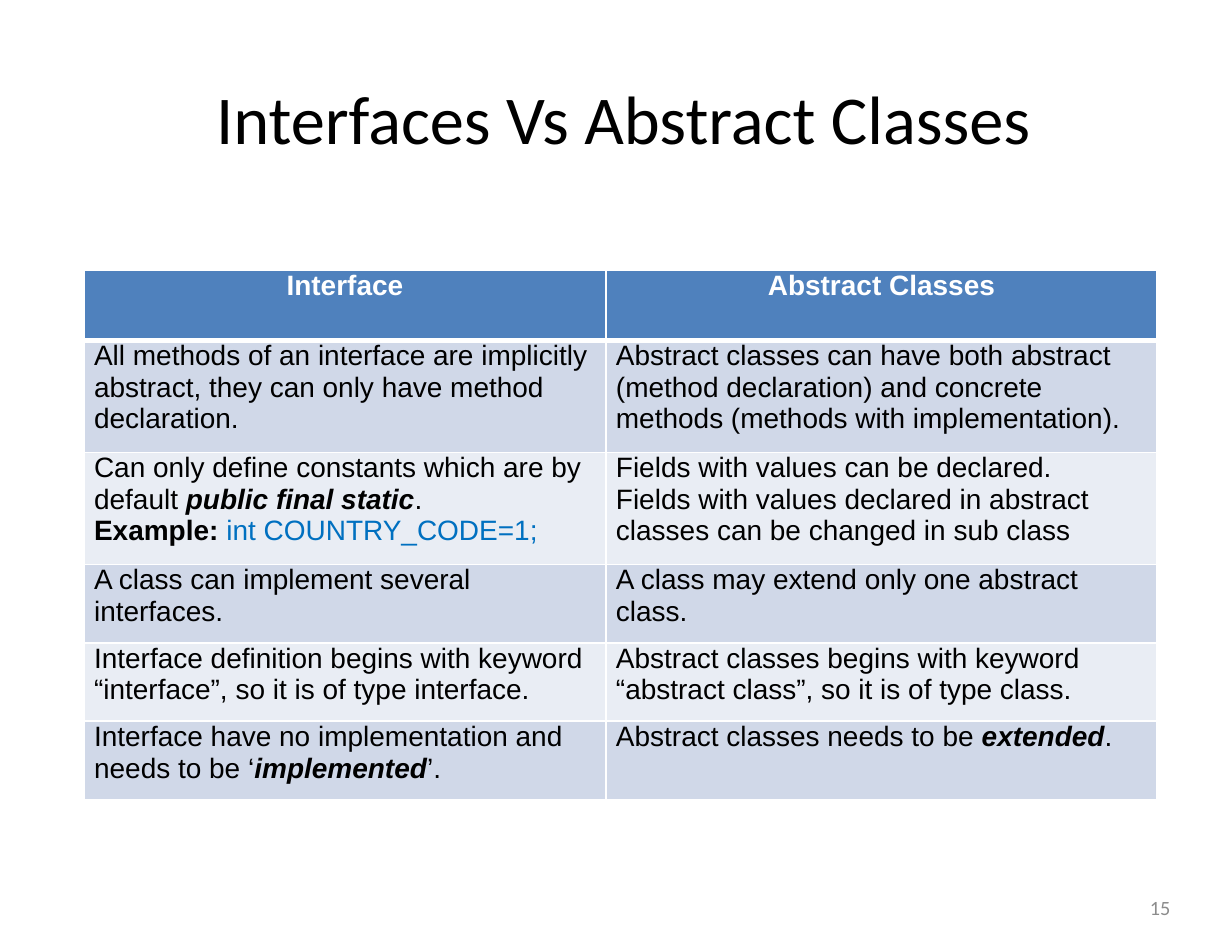
from typing import NamedTuple

from lxml import etree
from pptx import Presentation
from pptx import util as u
from pptx.dml.color import RGBColor
from pptx.enum import text
from pptx.oxml.ns import qn

WIDE, HIGH = 11, 8.5
HUES = {"ink": "000000", "head": "4F81BD", "odd": "D0D8E8", "even": "E9EDF4",
        "rule": "FFFFFF", "code": "0070C0", "page": "8C8C8C"}
ALIGN, MIDDLE = text.PP_ALIGN, text.MSO_ANCHOR.MIDDLE


class Bit(NamedTuple):
    """A stretch of text in one style."""
    words: str
    bold: bool = False
    slant: bool = False
    hue: str = "ink"


class Label(NamedTuple):
    """A line of text; its box is given as shares of the slide."""
    words: str
    left: float
    top: float
    width: float
    height: float
    size: float
    hue: str
    align: ALIGN
    inset: float = 0


LABELS = [
    Label("Interfaces Vs Abstract Classes", 0.05, 0.08, 0.9, 0.087, 44, "ink",
          ALIGN.LEFT, 1.38),
    Label("15", 0.716, 0.927, 0.234, 0.053, 13, "page", ALIGN.RIGHT),
]

# Each cell is a list of paragraphs, each paragraph a list of bits.
HEAD = [[[Bit(name, bold=True, hue="rule")]]
        for name in ("Interface", "Abstract Classes")]
BODY = [
    [[[Bit("All methods of an interface are implicitly abstract, "
           "they can only have method declaration.")]],
     [[Bit("Abstract classes can have both abstract (method declaration) "
           "and concrete methods (methods with implementation).")]]],
    [[[Bit("Can only define constants which are by default "),
       Bit("public final static", True, True), Bit(".")],
      [Bit("Example: ", True), Bit("int COUNTRY_CODE=1;", hue="code")]],
     [[Bit("Fields with values can be declared. Fields with values declared "
           "in abstract classes can be changed in sub class")]]],
    [[[Bit("A class can implement several interfaces.")]],
     [[Bit("A class may extend only one abstract class.")]]],
    [[[Bit("Interface definition begins with keyword “interface”, "
           "so it is of type interface.")]],
     [[Bit("Abstract classes begins with keyword “abstract class”, "
           "so it is of type class.")]]],
    [[[Bit("Interface have no implementation and needs to be ‘"),
       Bit("implemented", True, True), Bit("’.")]],
     [[Bit("Abstract classes needs to be "),
       Bit("extended", True, True), Bit(".")]]],
]
COLS = (4.66, 4.92)
ROWS = (0.63, 1, 1, 0.7, 0.7, 0.7)
INSETS = (0.05, 0.25)  # right margin of each column
THIN, THICK = 1.18, 3.1


def paint(font, face: str, size: float, hue: str) -> None:
    font.name, font.size = face, u.Pt(size)
    font.color.rgb = RGBColor.from_string(HUES[hue])


def draw_label(slide, label: Label) -> None:
    box = slide.shapes.add_textbox(
        u.Inches(label.left * WIDE), u.Inches(label.top * HIGH),
        u.Inches(label.width * WIDE), u.Inches(label.height * HIGH))
    frame = box.text_frame
    frame.word_wrap, frame.vertical_anchor = True, MIDDLE
    frame.margin_left = u.Inches(label.inset)
    frame.margin_right = frame.margin_top = frame.margin_bottom = 0
    frame.text = label.words
    para = frame.paragraphs[0]
    para.alignment = label.align
    paint(para.runs[0].font, "Calibri", label.size, label.hue)


def edge(cell, **sides: float) -> None:
    """Rule the sides of a cell; widths are in points."""
    props = cell._tc.get_or_add_tcPr()
    for side, width in sides.items():
        line = etree.SubElement(props, qn(f"a:ln{side}"), w=str(u.Pt(width)))
        fill = etree.SubElement(line, qn("a:solidFill"))
        etree.SubElement(fill, qn("a:srgbClr"), val=HUES["rule"])


def fill_cell(cell, paras: list[list[Bit]], row: int, col: int) -> None:
    edge(cell, L=THIN, R=THIN, T=THICK if row == 1 else THIN,
         B=THICK if row == 0 else THIN)
    hue = "head" if row == 0 else "odd" if row % 2 else "even"
    cell.fill.solid()
    cell.fill.fore_color.rgb = RGBColor.from_string(HUES[hue])
    cell.margin_top = cell.margin_bottom = 0
    cell.margin_left = u.Inches(0.09)
    cell.margin_right = u.Inches(INSETS[col] if row else 0.09)
    frame = cell.text_frame
    for index, bits in enumerate(paras):
        para = frame.add_paragraph() if index else frame.paragraphs[0]
        para.alignment = ALIGN.LEFT if row else ALIGN.CENTER
        for bit in bits:
            run = para.add_run()
            run.text = bit.words
            paint(run.font, "Arial", 18, bit.hue)
            run.font.bold, run.font.italic = bit.bold, bit.slant


def draw_table(slide) -> None:
    table = slide.shapes.add_table(
        len(ROWS), len(COLS), u.Inches(0.75), u.Inches(2.41),
        u.Inches(sum(COLS)), u.Inches(sum(ROWS))).table
    for col, width in zip(table.columns, COLS):
        col.width = u.Inches(width)
    for row, height in zip(table.rows, ROWS):
        row.height = u.Inches(height)
    for row, cells in enumerate([HEAD, *BODY]):
        for col, paras in enumerate(cells):
            fill_cell(table.cell(row, col), paras, row, col)


def main() -> None:
    deck = Presentation()
    deck.slide_width, deck.slide_height = u.Inches(WIDE), u.Inches(HIGH)
    slide = deck.slides.add_slide(deck.slide_layouts[6])
    for label in LABELS:
        draw_label(slide, label)
    draw_table(slide)
    deck.save("out.pptx")


if __name__ == "__main__":
    main()
